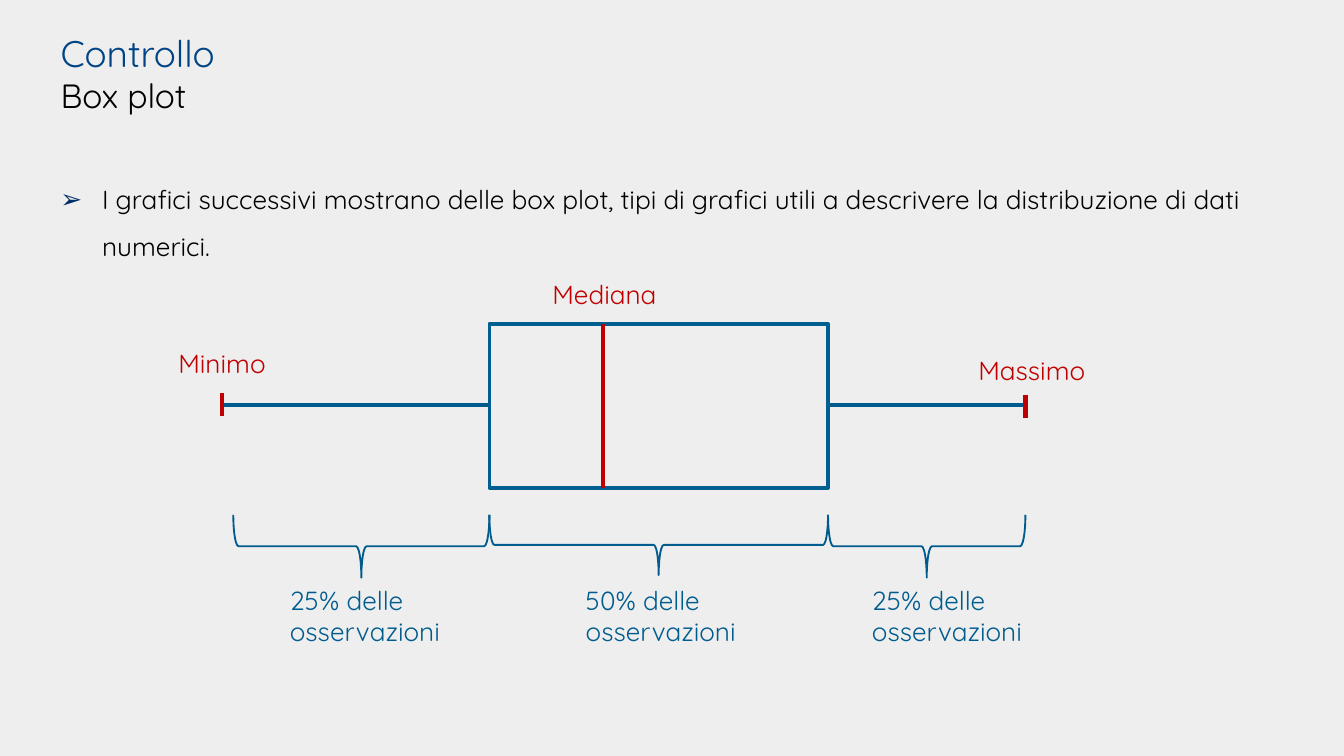
from lxml import etree
from pptx import Presentation
from pptx.dml.color import RGBColor
from pptx.enum.shapes import MSO_CONNECTOR, MSO_SHAPE
from pptx.enum.text import MSO_ANCHOR, MSO_AUTO_SIZE, PP_ALIGN
from pptx.oxml.ns import qn
from pptx.util import Cm, Pt

STRAIGHT = MSO_CONNECTOR.STRAIGHT
RECTANGLE = MSO_SHAPE.RECTANGLE
BRACE = MSO_SHAPE.LEFT_BRACE
MIDDLE = MSO_ANCHOR.MIDDLE
NO_AUTOFIT = MSO_AUTO_SIZE.NONE
LEFT = PP_ALIGN.LEFT

FONT = "Quicksand"
COLORS = {
    "background": "EEEEEE",
    "title": "004485",
    "text": "000000",
    "bullet": "002E69",
    "box": "005E90",
    "blue": "005C8E",
    "red": "C00000",
}


class BoxPlotSlide:
    def __init__(self, presentation):
        self.slide = presentation.slides.add_slide(presentation.slide_layouts[5])
        fill = self.slide.background.fill
        fill.solid()
        fill.fore_color.rgb = self.color("background")

    def color(self, name):
        return RGBColor.from_string(COLORS[name])

    def style_font(self, font, size, color):
        font.name = FONT
        font.size = Pt(size)
        font.color.rgb = self.color(color)

    def style_line(self, line, color, width):
        line.color.rgb = self.color(color)
        line.width = Pt(width)

    def title(self, heading, subheading, left, top, width, height):
        shape = self.slide.shapes.title
        shape.left, shape.top = Cm(left), Cm(top)
        shape.width, shape.height = Cm(width), Cm(height)
        frame = shape.text_frame
        frame.auto_size = NO_AUTOFIT
        frame.vertical_anchor = MIDDLE
        paragraph = frame.paragraphs[0]
        paragraph.alignment = LEFT
        run = paragraph.add_run()
        run.text = heading
        self.style_font(run.font, 19.8, "title")
        paragraph.add_line_break()
        run = paragraph.add_run()
        run.text = subheading
        self.style_font(run.font, 18, "text")

    def text(self, text, left, top, width, height, color):
        shape = self.slide.shapes.add_textbox(Cm(left), Cm(top), Cm(width), Cm(height))
        shape.text_frame.word_wrap = True
        paragraph = shape.text_frame.paragraphs[0]
        paragraph.text = text
        self.style_font(paragraph.font, 14, color)
        return shape

    def bullet(self, text, left, top, width, height):
        shape = self.text(text, left, top, width, height, "text")
        frame = shape.text_frame
        frame.margin_top = frame.margin_bottom = Cm(0.25)
        paragraph = frame.paragraphs[0]
        properties = paragraph._p.get_or_add_pPr()
        properties.set("marL", str(Cm(0.79)))
        properties.set("indent", str(-Cm(0.79)))
        bullet_color = etree.SubElement(properties, qn("a:buClr"))
        etree.SubElement(bullet_color, qn("a:srgbClr"), val=COLORS["bullet"])
        etree.SubElement(properties, qn("a:buFont"), typeface="Arial")
        etree.SubElement(properties, qn("a:buChar"), char="➢")
        paragraph.line_spacing = 1.5
        self.style_font(paragraph.font, 14, "text")

    def outline(self, kind, left, top, width, height, color, line_width):
        shape = self.slide.shapes.add_shape(
            kind, Cm(left), Cm(top), Cm(width), Cm(height))
        shape.shadow.inherit = False
        shape.fill.background()
        self.style_line(shape.line, color, line_width)
        return shape

    def brace(self, start, end, top, height):
        width = end - start
        left = (start + end - height) / 2
        shape = self.outline(
            BRACE, left, top + (height - width) / 2, height, width, "blue", 1)
        shape.rotation = 270

    def line(self, x1, y1, x2, y2, color):
        connector = self.slide.shapes.add_connector(
            STRAIGHT, Cm(x1), Cm(y1), Cm(x2), Cm(y2))
        self.style_line(connector.line, color, 2.25)
        etree.SubElement(connector._element.spPr, qn("a:effectLst"))


def main():
    presentation = Presentation()
    presentation.slide_width = Cm(25.4)
    presentation.slide_height = Cm(14.29)
    slide = BoxPlotSlide(presentation)

    slide.title("Controllo", "Box plot", 0.89, 0.84, 21.89, 1.09)
    slide.bullet(
        "I grafici successivi mostrano delle box plot, tipi di grafici utili "
        "a descrivere la distribuzione di dati numerici.",
        0.89, 2.92, 23.5, 9.96)

    minimum, first_quartile, median, third_quartile, maximum = (
        4.19, 9.25, 11.4, 15.65, 19.38)
    box_top, box_height, axis = 6.12, 3.1, 7.65

    slide.outline(RECTANGLE, first_quartile, box_top,
                  third_quartile - first_quartile, box_height, "box", 2)
    for start, end in ((minimum, first_quartile), (third_quartile, maximum)):
        slide.line(start, axis, end, axis, "blue")
    slide.line(median, box_top, median, box_top + box_height, "red")
    for end, center in ((minimum, axis), (maximum, axis + 0.03)):
        slide.line(end, center - 0.22, end, center + 0.22, "red")

    for text, left, top in (
        ("Mediana", 10.19, 5.13),
        ("Minimo", 3.12, 6.45),
        ("Massimo", 18.24, 6.58),
    ):
        slide.text(text, left, top, 2.57, 0.86, "red")

    for share, start, end, height, left, width in (
        ("25%", 4.41, first_quartile, 1.19, 5.23, 5.16),
        ("50%", first_quartile, third_quartile, 1.14, 10.82, 5.16),
        ("25%", third_quartile, maximum, 1.19, 16.23, 3.99),
    ):
        slide.brace(start, end, 9.73, height)
        slide.text(f"{share} delle osservazioni", left, 10.92, width, 1.45, "blue")

    presentation.save("out.pptx")


if __name__ == "__main__":
    main()
